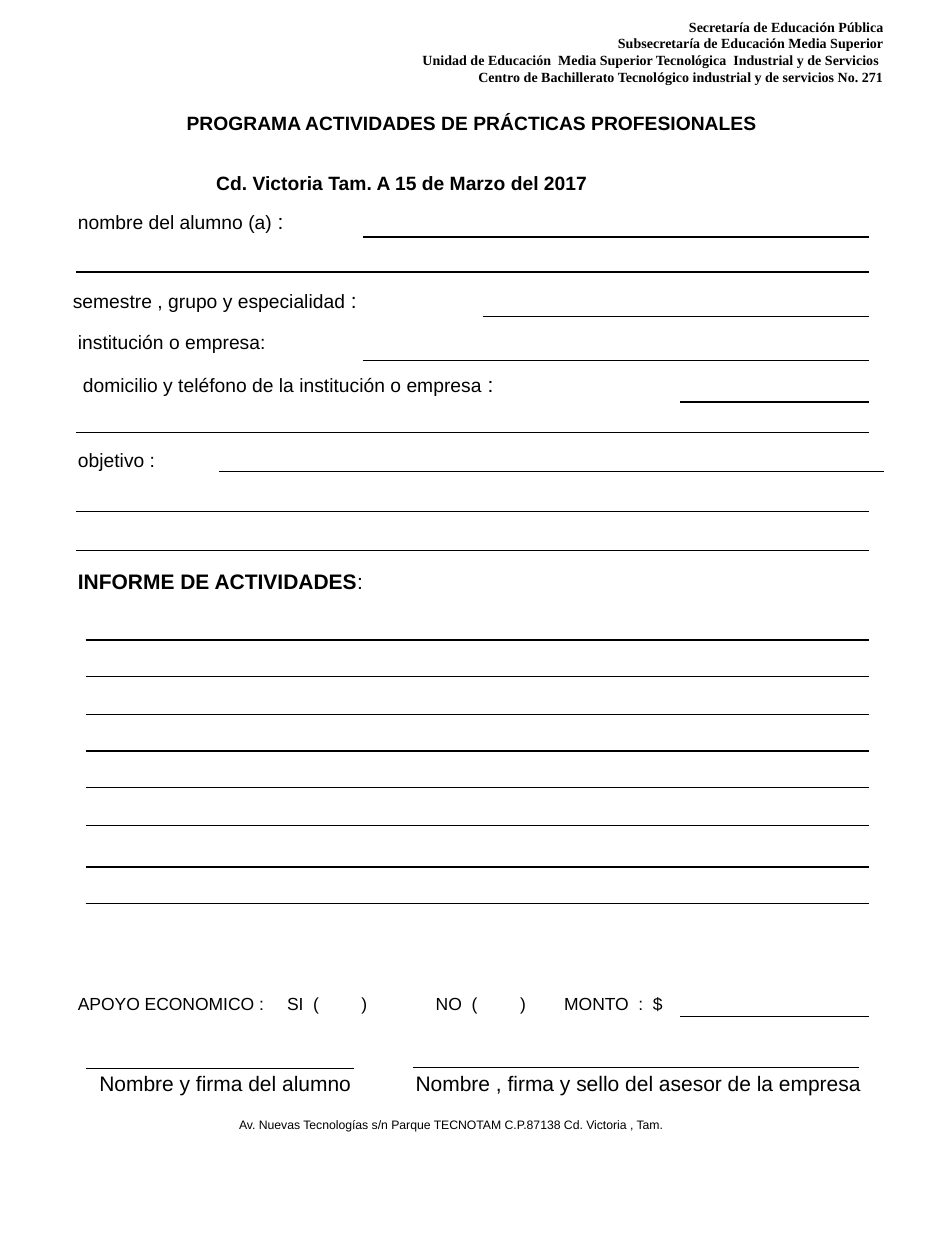
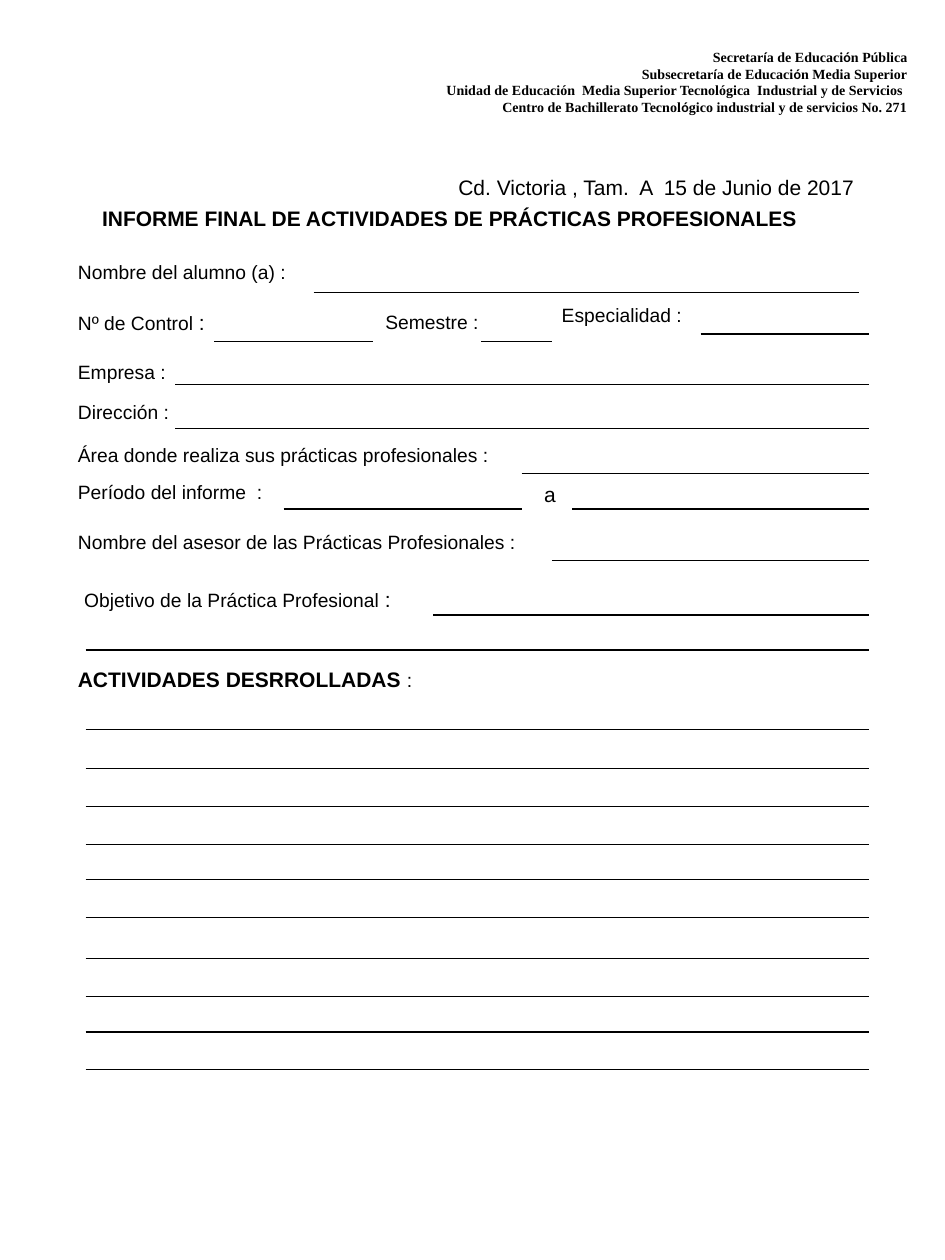
import pptx
import pptx.util
import pptx.dml.color
import pptx.enum.shapes
import pptx.enum.text
import pptx.oxml.ns
from lxml import etree

Inches = pptx.util.Inches
ALIGN = pptx.enum.text.PP_ALIGN
BLACK = pptx.dml.color.RGBColor(0x00, 0x00, 0x00)
WHITE = pptx.dml.color.RGBColor(0xFF, 0xFF, 0xFF)
BODY, SERIF, ACCENT = "Arial", "Times New Roman", "Calibri"
RIGHT = 6.9      # right end of most answer lines
REPORT_LEFT = 0.68

# School header: the letters between bars use the accent font
HEADER = [
    "Secretar|í|a de Educaci|ó|n P|ú|blica",
    "Subsecretar|í|a de Educaci|ó|n Media Superior",
    "Unidad de Educación  Media Superior Tecnológica  Industrial y de Servicios ",
    "Centro de Bachillerato Tecnol|ó|gico industrial y de servicios No. 271",
]

# Labels: left, top, width, runs of (text, size, bold), then options
# Lines: left, right, y
PROGRAM = {
    "header": (2.74, 0.09),
    "labels": [
        (0.44, 0.83, 6.61, [("PROGRAMA ACTIVIDADES DE PRÁCTICAS PROFESIONALES", 11, True)],
         {"align": ALIGN.CENTER}),
        (0.44, 1.31, 5.5, [("Cd. Victoria Tam. A 15 de Marzo del 2017", 11, True)],
         {"align": ALIGN.CENTER}),
        (0.52, 1.61, 6.38, [("nombre del alumno (a) ", 11, False), (":", 12, False)]),
        (0.48, 2.23, 6.46, [("semestre , grupo y especialidad ", 11, False), (":", 12, False)]),
        (0.52, 2.57, 6.54, [("institución o empresa:", 11, False)]),
        (0.56, 2.9, 6.46, [("domicilio y teléfono de la institución o empresa ", 11, False),
                           (":", 12, False)]),
        (0.52, 3.51, 6.38, [("objetivo :", 11, False)]),
        (0.52, 4.46, 6.54, [("INFORME DE ACTIVIDADES", 12, True), (":", 12, False)]),
        (0.52, 7.83, 1.73, [("APOYO ECONOMICO :", 10, False)]),
        (2.18, 7.83, 0.94, [("SI  (\t)", 10, False)], {"tab": 0.59}),
        (3.36, 7.83, 1.02, [("NO  (\t)", 10, False)], {"tab": 0.67}),
        (4.38, 7.83, 2.6, [("MONTO  :  $", 10, False)]),
        (0.69, 8.45, 2.5, [("Nombre y firma del alumno", 12, False)]),
        (3.2, 8.45, 3.78, [("Nombre , firma y sello del asesor de la empresa", 12, False)]),
        (1.61, 8.82, 3.94,
         [("Av. Nuevas Tecnologías s/n Parque TECNOTAM C.P.87138 Cd. Victoria , Tam.", 7, False)],
         {"align": ALIGN.CENTER}),
    ],
    "lines": [
        (2.88, RIGHT, 1.88), (0.6, RIGHT, 2.16), (3.83, RIGHT, 2.51), (2.88, RIGHT, 2.86),
        (5.4, RIGHT, 3.19), (0.6, RIGHT, 3.43), (1.74, 7.02, 3.74), (0.6, RIGHT, 4.06),
        (0.6, RIGHT, 4.37), (5.4, RIGHT, 8.07), (3.28, 6.82, 8.47), (REPORT_LEFT, 2.81, 8.48),
    ],
    "report": [5.08, 5.37, 5.67, 5.96, 6.25, 6.55, 6.88, 7.17],
}

FINAL_REPORT = {
    "header": (2.93, 0.33),
    "labels": [
        (2.1, 1.34, 4.78, [("Cd. Victoria , Tam.  A  15 de Junio de 2017", 12, False)],
         {"align": ALIGN.RIGHT}),
        (0.52, 1.58, 6.1,
         [("INFORME FINAL DE ACTIVIDADES DE PRÁCTICAS PROFESIONALES", 12, True)],
         {"align": ALIGN.CENTER}),
        (0.52, 2.02, 6.38, [("Nombre del alumno (a) :", 11, False)]),
        (0.52, 2.41, 2.44, [("Nº de Control ", 11, False), (":", 12, False)]),
        (2.96, 2.41, 1.42, [("Semestre :", 11, False)]),
        (4.36, 2.36, 2.54, [("Especialidad :", 11, False)]),
        (0.52, 2.81, 6.46, [("Empresa :", 11, False)]),
        (0.52, 3.13, 6.46, [("Dirección :", 11, False)]),
        (0.52, 3.47, 6.46, [("Área donde realiza sus prácticas profesionales :", 11, False)]),
        (0.52, 3.76, 3.78, [("Período del informe  :", 11, False)]),
        (4.22, 3.77, 2.76, [("a", 12, False)]),
        (0.52, 4.16, 6.38, [("Nombre del asesor de las Prácticas Profesionales :", 11, False)]),
        (0.57, 4.61, 6.41, [("Objetivo de la Práctica Profesional ", 11, False),
                            (":", 12, False)]),
        (0.52, 5.24, 6.46, [("ACTIVIDADES DESRROLLADAS ", 12, True), (":", 11, False)]),
    ],
    "lines": [
        (2.49, 6.82, 2.32), (1.7, 2.96, 2.71), (3.82, 4.38, 2.71), (5.56, RIGHT, 2.65),
        (1.39, RIGHT, 3.05), (1.39, RIGHT, 3.4), (4.14, RIGHT, 3.76), (2.25, 4.14, 4.04),
        (4.54, RIGHT, 4.04), (4.38, RIGHT, 4.45), (3.44, RIGHT, 4.88),
        (REPORT_LEFT, RIGHT, 5.16),
    ],
    "report": [5.79, 6.1, 6.4, 6.7, 6.98, 7.28, 7.61, 7.91, 8.19, 8.49],
}


def add_box(s, left, top, width, height):
    sp = s.shapes.add_textbox(Inches(left), Inches(top), Inches(width), Inches(height))
    sp.text_frame.word_wrap = True
    return sp.text_frame


def add_run(p, text, size, bold, font=BODY):
    r = p.add_run()
    r.text = text
    style = {"name": font, "size": pptx.util.Pt(size), "bold": bold}
    for key, value in style.items():
        setattr(r.font, key, value)
    r.font.color.rgb = BLACK


def add_label(s, left, top, width, runs, options=None):
    options = options or {}
    size = max(run[1] for run in runs)
    p = add_box(s, left, top, width, round(0.1 + size / 60, 2)).paragraphs[0]
    p.alignment = options.get("align", ALIGN.LEFT)
    if "tab" in options:
        tabs = etree.SubElement(p._p.get_or_add_pPr(), pptx.oxml.ns.qn("a:tabLst"))
        etree.SubElement(tabs, pptx.oxml.ns.qn("a:tab"),
                         pos=str(Inches(options["tab"])), algn="l")
    for run in runs:
        add_run(p, *run)


def add_header(s, left, top):
    tf = add_box(s, left, top, 4.37, 0.64)
    tf.vertical_anchor = pptx.enum.text.MSO_ANCHOR.MIDDLE
    for i, line in enumerate(HEADER):
        p = tf.add_paragraph() if i else tf.paragraphs[0]
        p.alignment = ALIGN.RIGHT
        for j, part in enumerate(line.split("|")):
            add_run(p, part, 8, True, ACCENT if j % 2 else SERIF)


def add_line(s, left, right, y):
    line = s.shapes.add_connector(pptx.enum.shapes.MSO_CONNECTOR.STRAIGHT,
                                  Inches(left), Inches(y), Inches(right), Inches(y))
    line.line.color.rgb = BLACK
    line.line.width = pptx.util.Pt(0.75)
    etree.SubElement(line._element.spPr, pptx.oxml.ns.qn("a:effectLst"))


def add_form(prs, form):
    s = prs.slides.add_slide(prs.slide_layouts[6])
    s.background.fill.solid()
    s.background.fill.fore_color.rgb = WHITE
    add_header(s, *form["header"])
    for label in form["labels"]:
        add_label(s, *label)
    # Answer lines, then the ruled report area
    for line in form["lines"]:
        add_line(s, *line)
    for y in form["report"]:
        add_line(s, REPORT_LEFT, RIGHT, y)


def main():
    prs = pptx.Presentation()
    prs.slide_width, prs.slide_height = Inches(7.5), Inches(10)
    for form in (PROGRAM, FINAL_REPORT):
        add_form(prs, form)
    prs.save("out.pptx")


if __name__ == "__main__":
    main()
